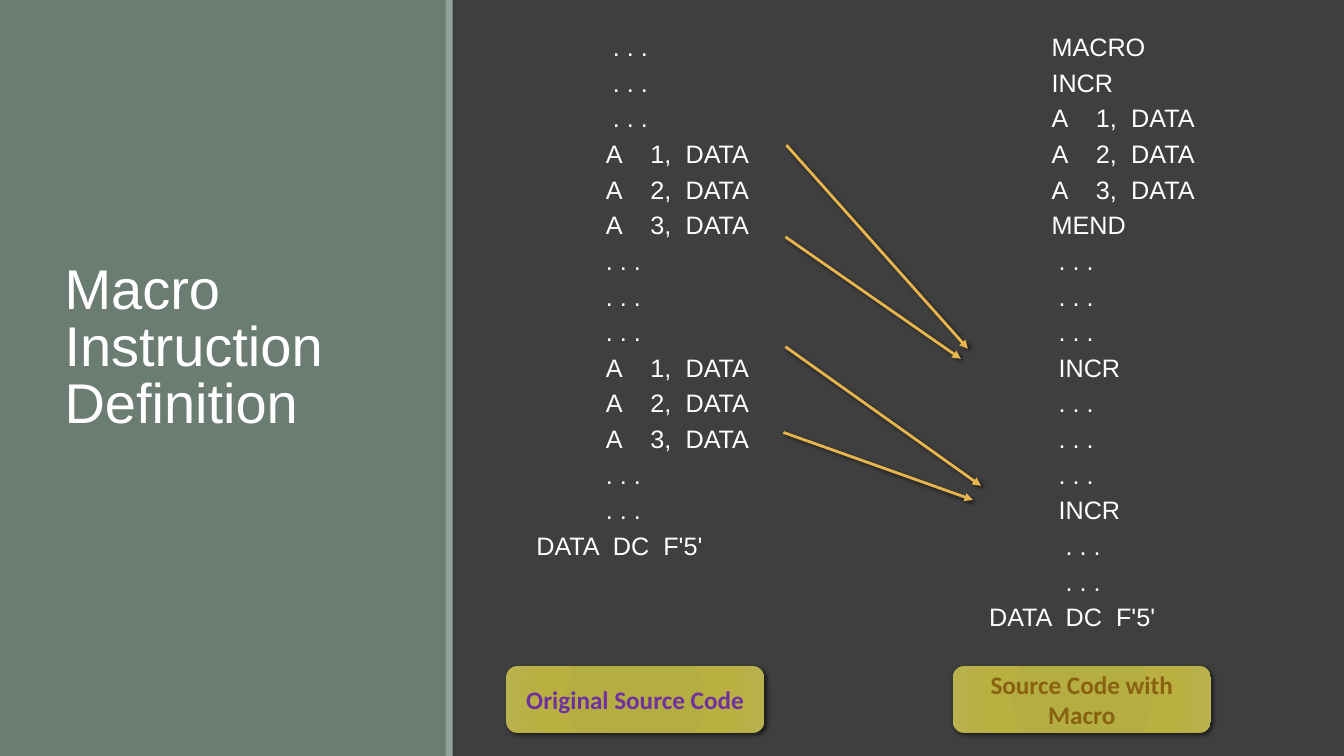
from itertools import accumulate

from pptx import Presentation
from pptx.dml.color import RGBColor
from pptx.enum.shapes import MSO_CONNECTOR, MSO_SHAPE
from pptx.enum.text import MSO_ANCHOR, PP_ALIGN
from pptx.oxml import parse_xml
from pptx.oxml.ns import nsdecls
from pptx.util import Inches, Pt

DARK, SAGE, PALE_SAGE, GOLD = "3F3F3F", "6B7C72", "93A299", "E8B54D"
WHITE, OFF_WHITE = "FFFFFF", "FEFEFE"
LABEL_STOPS = ((0, "B5AC3F"), (34, "B4AD41"), (70, "B9B041"), (100, "B9B24E"))

# Each line of code: indent in inches, then its fields.
DATA_LINE = (0.14, "DATA", "DC", "F'5'")
INSTRUCTION_GAPS, DATA_GAPS = (0.44, 0.35), (0.76, 0.5)


def color(hex_value):
    """Turn a hex string into a colour."""
    return RGBColor.from_string(hex_value)


def dots(indent, count):
    """Return lines that stand for omitted code."""
    return [(indent, ". . .")] * count


def additions(indent):
    """Return the three add instructions."""
    return [(indent, "A", f"{number},", "DATA") for number in (1, 2, 3)]


def set_values(target, values):
    """Set attributes from a dict of format values."""
    for name, value in values.items():
        setattr(target, name, value)


def add_span(para, text, size, hex_value, font="Arial", bold=False):
    """Add a formatted run to a paragraph."""
    span = para.add_run()
    span.text = text
    set_values(span.font, {"size": Pt(size), "name": font, "bold": bold})
    span.font.color.rgb = color(hex_value)


def set_frame(box, anchor, sides=0.1, bottom=0.05):
    """Set wrapping, anchor and insets of a text frame."""
    set_values(box.text_frame, {
        "word_wrap": True, "vertical_anchor": anchor,
        "margin_left": Inches(sides), "margin_right": Inches(sides),
        "margin_top": Inches(0.05), "margin_bottom": Inches(bottom)})


def add_shadow(shape, blur):
    """Give a shape or connector a soft shadow to the lower right."""
    shape._element.spPr.append(parse_xml(
        f'<a:effectLst {nsdecls("a")}><a:outerShdw blurRad="{Pt(blur)}" '
        f'dist="{Pt(2)}" dir="2700000" algn="tl" rotWithShape="0">'
        '<a:srgbClr val="000000"><a:alpha val="60000"/></a:srgbClr>'
        '</a:outerShdw></a:effectLst>'))


def add_bar(page, left, width, hex_value):
    """Add a plain bar over the full height of the slide."""
    bar = page.shapes.add_shape(
        MSO_SHAPE.RECTANGLE, Inches(left), 0, Inches(width), Inches(7.5))
    bar.shadow.inherit = False
    bar.fill.solid()
    bar.fill.fore_color.rgb = color(hex_value)
    bar.line.fill.background()


def place_title(page):
    """Place and format the title in front of the side panel."""
    title = page.shapes.title
    page.shapes._spTree.append(title._element)
    set_values(title, {"left": Inches(0.54), "top": Inches(0.66),
                       "width": Inches(3.37), "height": Inches(6.17)})
    set_frame(title, MSO_ANCHOR.MIDDLE, bottom=0.6)
    para = title.text_frame.paragraphs[0]
    set_values(para, {"alignment": PP_ALIGN.LEFT, "line_spacing": 0.85})
    add_span(para, "Macro Instruction", 40, WHITE)
    para.add_line_break()
    add_span(para, "Definition", 40, OFF_WHITE)


def add_code(page, left, lines):
    """Add a code listing whose fields stand at tab stops."""
    box = page.shapes.add_textbox(
        Inches(left), Inches(0.25), Inches(3.3), Inches(7.02))
    set_frame(box, MSO_ANCHOR.TOP, sides=0)
    frame = box.text_frame
    for index, line in enumerate(lines):
        indent, *fields = line
        para = frame.add_paragraph() if index else frame.paragraphs[0]
        set_values(para, {"line_spacing": 1.04,
                          "space_before": Pt(3 if index else 0)})
        gaps = DATA_GAPS if line == DATA_LINE else INSTRUCTION_GAPS
        positions = accumulate((indent, *gaps[:len(fields) - 1]))
        stops = "".join(f'<a:tab pos="{Inches(position)}" algn="l"/>'
                        for position in positions)
        para._p.get_or_add_pPr().append(
            parse_xml(f'<a:tabLst {nsdecls("a")}>{stops}</a:tabLst>'))
        add_span(para, "".join("\t" + field for field in fields),
                 18, OFF_WHITE)


def add_arrow(page, start, end):
    """Add a gold arrow from start to end."""
    points = [Inches(value) for value in (*start, *end)]
    arrow = page.shapes.add_connector(MSO_CONNECTOR.STRAIGHT, *points)
    arrow.line.color.rgb = color(GOLD)
    arrow.line.width = Pt(2)
    arrow.line._get_or_add_ln().append(
        parse_xml(f'<a:tailEnd {nsdecls("a")} type="triangle"/>'))
    add_shadow(arrow, 3)


def add_label(page, left, text, hex_value):
    """Add a rounded caption with a radial gradient."""
    label = page.shapes.add_shape(
        MSO_SHAPE.ROUNDED_RECTANGLE, Inches(left), Inches(6.61),
        Inches(2.56), Inches(0.66))
    stops = "".join(
        f'<a:gs pos="{position * 1000}"><a:srgbClr val="{stop}"/></a:gs>'
        for position, stop in LABEL_STOPS)
    label._element.spPr.append(parse_xml(
        f'<a:gradFill {nsdecls("a")} rotWithShape="1"><a:gsLst>{stops}'
        '</a:gsLst><a:path path="circle"><a:fillToRect l="50000" t="50000" '
        'r="50000" b="50000"/></a:path></a:gradFill>'))
    label.line.fill.background()
    add_shadow(label, 3.5)
    set_frame(label, MSO_ANCHOR.MIDDLE)
    para = label.text_frame.paragraphs[0]
    para.alignment = PP_ALIGN.CENTER
    add_span(para, text, 18, hex_value, "Calibri", True)


def main():
    """Build the slide and save it."""
    deck = Presentation()
    set_values(deck, {"slide_width": Inches(13.33),
                      "slide_height": Inches(7.5)})
    page = deck.slides.add_slide(deck.slide_layouts[5])
    page.background.fill.solid()
    page.background.fill.fore_color.rgb = color(DARK)

    add_bar(page, 0, 4.43, SAGE)
    place_title(page)
    add_bar(page, 4.42, 0.07, PALE_SAGE)

    add_code(page, 5.18, [
        *dots(0.9, 3), *additions(0.83), *dots(0.83, 3),
        *additions(0.83), *dots(0.83, 2), DATA_LINE])
    macro_call = (0.83, "INCR")
    add_code(page, 9.67, [
        (0.76, "MACRO"), (0.76, "INCR"), *additions(0.76), (0.76, "MEND"),
        *dots(0.83, 3), macro_call, *dots(0.83, 3), macro_call,
        *dots(0.9, 2), DATA_LINE])

    for start, end in (((7.8, 1.44), (9.6, 3.46)),
                       ((7.79, 2.35), (9.53, 3.56)),
                       ((7.79, 3.44), (9.73, 4.82)),
                       ((7.77, 4.29), (9.65, 4.96))):
        add_arrow(page, start, end)

    add_label(page, 5.02, "Original Source Code", "7030A0")
    add_label(page, 9.45, "Source Code with Macro", "886111")
    deck.save("out.pptx")


main()
